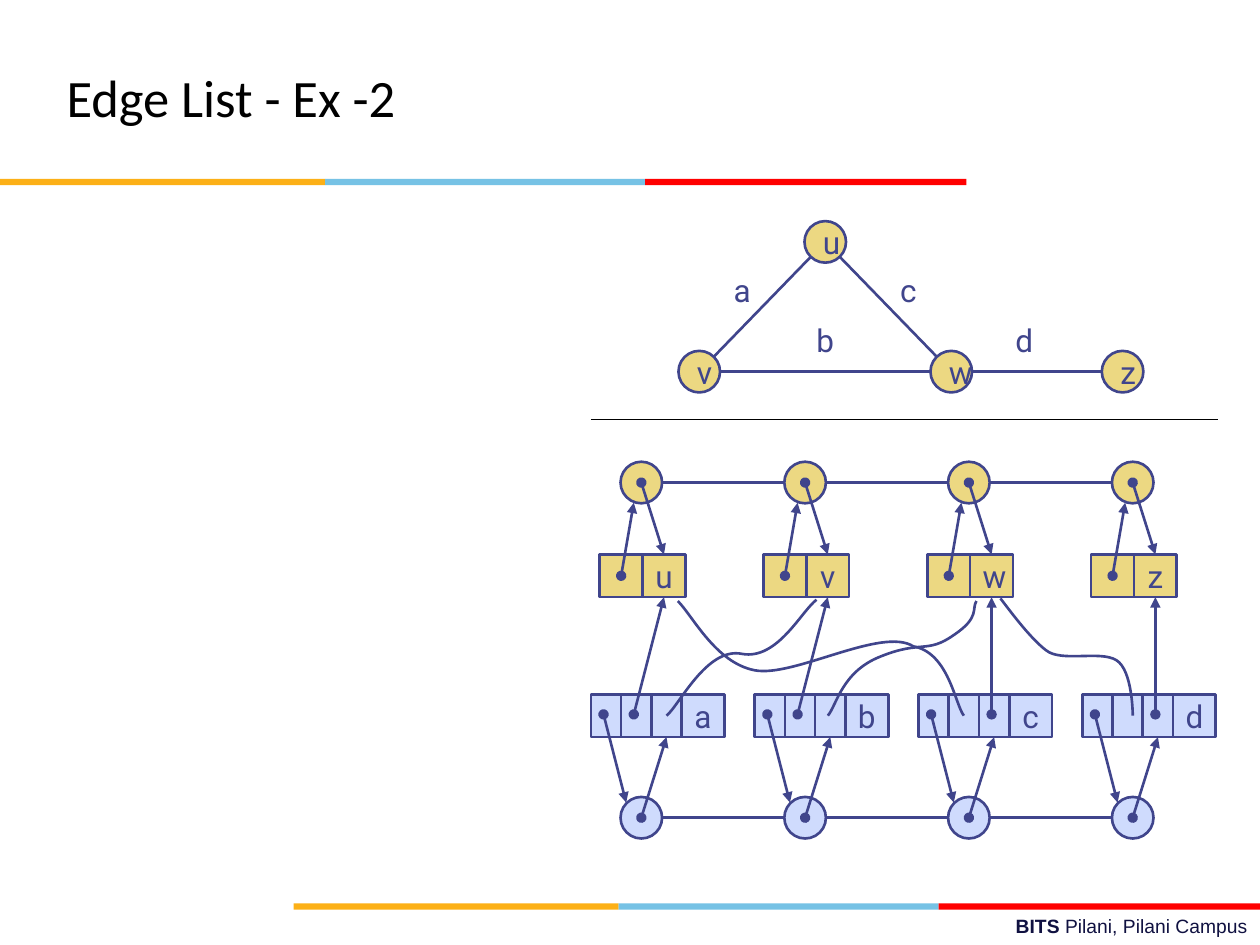
from dataclasses import dataclass
from math import hypot

from lxml import etree
from pptx import Presentation
from pptx import util as u
from pptx.dml.color import RGBColor
from pptx.enum import shapes, text
from pptx.oxml.ns import qn

COLORS = {"ink": "40458C", "vertex": "ECD882", "edge": "CFDBFD", "black": "000000",
          "navy": "101141", "gold": "FCB017", "sky": "76C2E5", "red": "FF0000"}
W, H = 10, 7.5
COL0, PITCH = 5.09, 1.3          # centre of the first list column, column step
NODE, CELL, SLOT = 0.33, 0.34, 0.24
VERTEX_LIST, VERTEX_ROW, EDGE_ROW, EDGE_LIST = 3.83, 4.4, 5.51, 6.49
Point = tuple[float, float]


@dataclass
class Vertex:
    name: str
    x: float
    y: float


@dataclass
class Edge:
    name: str
    start: str
    end: str
    label: Point    # centre of the label in the graph
    straight: str   # endpoint whose pointer is a straight arrow
    curve: list     # Bezier points of the other pointer


VERTICES = [Vertex("u", 6.55, 1.92), Vertex("v", 5.55, 2.95),
            Vertex("w", 7.55, 2.95), Vertex("z", 8.91, 2.95)]
EDGES = [
    Edge("a", "u", "v", (5.89, 2.3), "u",
         [(5.29, 5.68), (5.39, 5.6), (5.61, 5.13), (5.89, 5.19),
          (6.17, 5.24), (6.36, 4.85), (6.48, 4.76)]),
    Edge("b", "v", "w", (6.55, 2.7), "v",
         [(6.57, 5.68), (6.64, 5.6), (6.68, 5.33), (6.99, 5.21), (7.31, 5.08),
          (7.36, 5.19), (7.57, 5.04), (7.78, 4.9), (7.71, 4.83), (7.75, 4.77)]),
    Edge("c", "u", "w", (7.21, 2.3), "w",
         [(7.65, 5.68), (7.58, 5.59), (7.53, 5.18), (7.25, 5.13), (7, 4.97),
          (6.3, 5.38), (5.99, 5.32), (5.68, 5.26), (5.5, 4.89), (5.38, 4.77)]),
    Edge("d", "w", "z", (8.13, 2.7), "z",
         [(8.99, 5.68), (8.99, 5.68), (8.99, 5.32), (8.86, 5.24), (8.73, 5.16),
          (8.42, 5.26), (8.3, 5.16), (8.17, 5.06), (8.01, 4.84), (7.94, 4.75)]),
]

prs = Presentation()
prs.slide_width, prs.slide_height = u.Inches(W), u.Inches(H)
s = prs.slides.add_slide(prs.slide_layouts[6])


def rgb(name: str) -> RGBColor:
    return RGBColor.from_string(COLORS[name])


def column(i: int) -> float:
    return COL0 + i * PITCH


def write(sp, *runs: tuple[str, bool], size: float = 18, font: str = "Roboto", color: str = "ink",
          align=text.PP_ALIGN.CENTER, anchor=text.MSO_ANCHOR.MIDDLE) -> None:
    """Fill a shape with one paragraph of (text, bold) runs."""
    tf = sp.text_frame
    tf.word_wrap, tf.vertical_anchor = True, anchor
    p = tf.paragraphs[0]
    p.alignment = align
    for words, bold in runs:
        r = p.add_run()
        r.text = words
        r.font.size, r.font.name, r.font.bold = u.Pt(size), font, bold
        r.font.color.rgb = rgb(color)


def textbox(x: float, y: float, w: float, h: float, *runs: tuple[str, bool], **fmt) -> None:
    write(s.shapes.add_textbox(*map(u.Inches, (x, y, w, h))), *runs, **fmt)


def box(x: float, y: float, w: float, h: float, fill: str, label: str = "",
        kind=shapes.MSO_SHAPE.RECTANGLE, outline: bool = True):
    sp = s.shapes.add_shape(kind, *map(u.Inches, (x, y, w, h)))
    sp.shadow.inherit = False
    sp.fill.solid()
    sp.fill.fore_color.rgb = rgb(fill)
    if outline:
        sp.line.color.rgb, sp.line.width = rgb("ink"), u.Pt(1.5)
    else:
        sp.line.fill.background()
    if label:
        write(sp, (label, False))
    return sp


def node(x: float, y: float, fill: str, label: str = "") -> None:
    box(x - NODE / 2, y - NODE / 2, NODE, NODE, fill, label, shapes.MSO_SHAPE.OVAL)


def line(a: Point, b: Point, color: str = "ink", width: float = 1.5):
    c = s.shapes.add_connector(shapes.MSO_CONNECTOR.STRAIGHT, *map(u.Inches, (*a, *b)))
    c.line.color.rgb, c.line.width = rgb(color), u.Pt(width)
    etree.SubElement(c._element.spPr, qn("a:effectLst"))
    return c


def pointer(a: Point, b: Point, target=None, site: int = 0) -> None:
    """Arrow with a dot at its start, joined to a target cell if there is one."""
    c = line(a, b)
    if target is not None:
        c.end_connect(target, site)
    ln = c.line._get_or_add_ln()
    etree.SubElement(ln, qn("a:headEnd"), type="oval")
    etree.SubElement(ln, qn("a:tailEnd"), type="triangle")


def curve(points: list) -> None:
    """Outline through the points, with each three segments turned into a Bezier."""
    fb = s.shapes.build_freeform(*points[0], scale=u.Inches(1))
    fb = s.shapes.build_freeform(*(u.Inches(v) for v in points[0]))
    fb.add_line_segments([tuple(map(u.Inches, pt)) for pt in points[1:]], close=False)
    sp = fb.convert_to_shape()
    sp.shadow.inherit = False
    sp.fill.background()
    sp.line.color.rgb, sp.line.width = rgb("ink"), u.Pt(1.5)
    steps = list(sp._element.iter(qn("a:lnTo")))
    for i in range(0, len(steps), 3):
        bezier = etree.Element(qn("a:cubicBezTo"))
        steps[i].addprevious(bezier)
        for step in steps[i:i + 3]:
            bezier.append(step[0])
            step.getparent().remove(step)


def stripe(x: float, y: float) -> None:
    for color, w in (("gold", 2.58), ("sky", 2.54), ("red", 2.55)):
        box(x, y, w, 0.05, color, outline=False)
        x += w


# Frame of the slide: stripes, footer and title
stripe(2.33, 7.17)
stripe(0, 1.42)
textbox(3.58, 7.21, 6.42, 0.29, ("BITS ", True), ("Pilani, Pilani Campus", False), size=11,
        font="Arial", color="navy", align=text.PP_ALIGN.RIGHT, anchor=text.MSO_ANCHOR.TOP)
textbox(0.43, 0.3, 6.69, 0.93, ("Edge List - Ex -2", False), size=30,
        font="Calibri", color="black", align=text.PP_ALIGN.LEFT)

# Graph
for v in VERTICES:
    node(v.x, v.y, "vertex", v.name)
by_name = {v.name: v for v in VERTICES}
for e in EDGES:
    a, b = by_name[e.start], by_name[e.end]
    k = 0.17 / hypot(b.x - a.x, b.y - a.y)   # stop at the rim of each node
    dx, dy = k * (b.x - a.x), k * (b.y - a.y)
    line((a.x + dx, a.y + dy), (b.x - dx, b.y - dy))
    textbox(e.label[0] - 0.17, e.label[1] - 0.2, 0.34, 0.4, (e.name, False),
            anchor=text.MSO_ANCHOR.TOP)
line((4.69, 3.33), (9.67, 3.33), "black", 0.75)

# Vertex list: nodes and their records
for y in (VERTEX_LIST, EDGE_LIST):
    line((5.26, y), (8.82, y))
vertex_cells = {}
for i, v in enumerate(VERTICES):
    x = column(i)
    node(x, VERTEX_LIST, "vertex")
    box(x - 0.33, VERTEX_ROW, CELL, CELL, "vertex")
    cell = vertex_cells[v.name] = box(x + 0.01, VERTEX_ROW, CELL, CELL, "vertex", v.name)
    pointer((x, VERTEX_LIST), (x + 0.18, VERTEX_ROW), cell, 0)
    pointer((x - 0.16, VERTEX_ROW + 0.17), (x - 0.06, VERTEX_LIST + 0.16))

# Edge list: nodes, their records and the pointers to the vertices
for i, e in enumerate(EDGES):
    x = column(i)
    left, mid = x - 0.4, EDGE_ROW + 0.16
    node(x, EDGE_LIST, "edge")
    slots = [box(left + k * SLOT, EDGE_ROW, SLOT, CELL, "edge") for k in range(3)]
    box(left + 3 * SLOT, EDGE_ROW, CELL, CELL, "edge", e.name)
    pointer((x, EDGE_LIST), (x + 0.2, EDGE_ROW + CELL), slots[2], 2)
    pointer((left + 0.1, mid), (x - 0.12, EDGE_LIST - 0.12))
    start_x = x - 0.06 if e.straight == e.start else x + 0.18
    pointer((start_x, mid), (x, VERTEX_ROW + CELL), vertex_cells[e.straight], 2)
    curve(e.curve)

prs.save("out.pptx")
